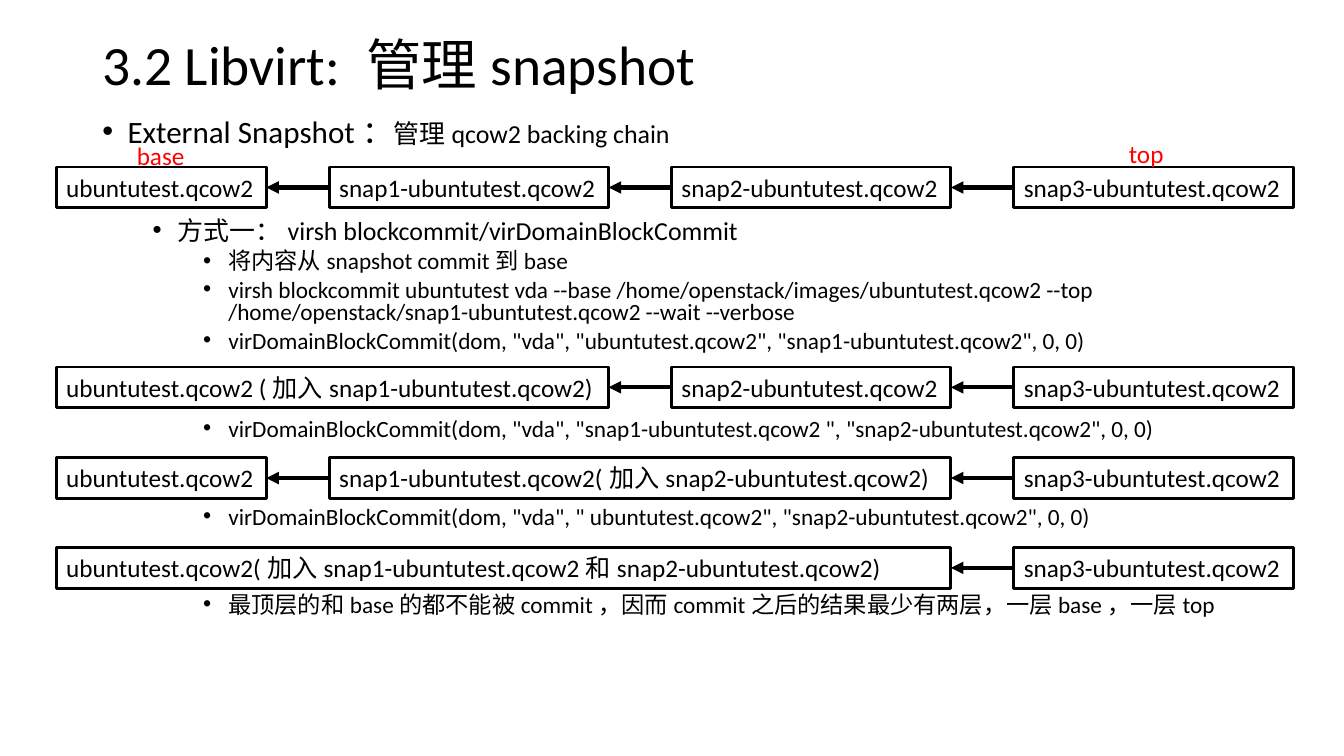
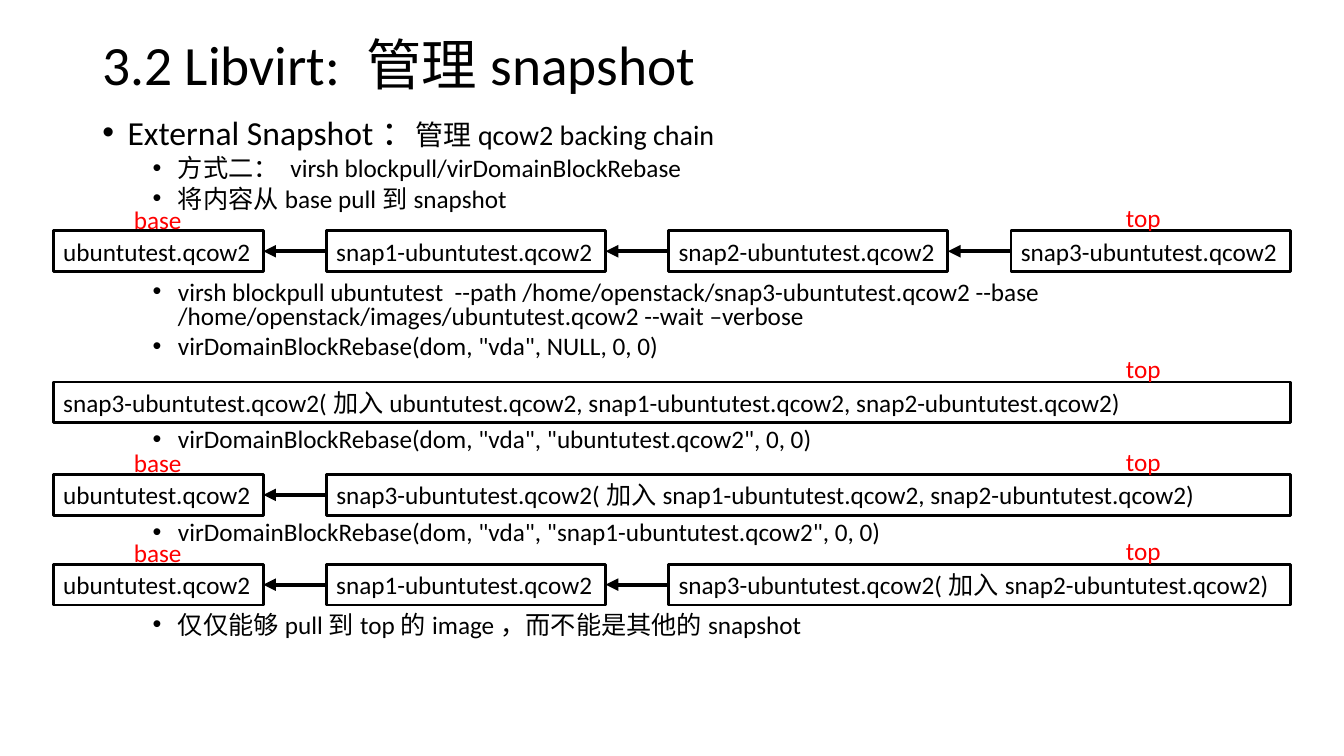
from pptx import Presentation
from pptx.dml.color import RGBColor
from pptx.enum.shapes import MSO_CONNECTOR, MSO_SHAPE
from pptx.enum.text import MSO_ANCHOR, PP_ALIGN
from pptx.oxml.ns import qn
from pptx.util import Emu, Inches, Pt
from lxml.etree import SubElement

# Slide grid: 160 columns by 90 rows of equal squares
UNIT = Inches(13.33) / 160


def grid(n):
    return Emu(round(n * UNIT))


def color(hex_value):
    return RGBColor.from_string(hex_value)


class Deck:
    FONT, INK, MARK = "Calibri", "000000", "FF0000"
    TITLE_SIZE, LABEL_SIZE = 39.6, 18
    # Chain columns: a narrow base image, then three wider snapshots
    WIDTHS, GAP, BOX_H = (25, 33.25, 33.25, 33.25), 7.5, 4.85
    # Label: offset from chain left, rise above chain, width
    LABELS = {"base": (8.4, 3.8, 8.2), "top": (126.5, 4, 6.6)}

    def __init__(self):
        self.prs = Presentation()
        self.prs.slide_width, self.prs.slide_height = Inches(13.33), Inches(7.5)

    def slide(self, title, chain_left):
        self.s = self.prs.slides.add_slide(self.prs.slide_layouts[6])
        self.chain_left = chain_left
        tf = self.text_box(11, 4.8, 138, 6.4)
        tf.vertical_anchor = MSO_ANCHOR.MIDDLE
        p = tf.paragraphs[0]
        p.line_spacing = 0.9
        self.run(p, title, self.TITLE_SIZE)

    def run(self, p, text, size, ink=INK):
        r = p.add_run()
        r.text = text
        r.font.name, r.font.size = self.FONT, Pt(size)
        r.font.color.rgb = color(ink)

    def text_box(self, x, y, w, h, wrap=True):
        tf = self.s.shapes.add_textbox(*map(grid, (x, y, w, h))).text_frame
        tf.word_wrap = wrap
        return tf

    def body(self, items):
        """Each item: level, space before in points, (text, size) runs."""
        tf = self.text_box(11, 13.7, 138, 67.3)
        for i, (level, before, runs) in enumerate(items):
            p = tf.add_paragraph() if i else tf.paragraphs[0]
            p.level = level
            pPr = p._p.get_or_add_pPr()
            pPr.set("marL", str(Inches(0.25 + 0.5 * level)))
            pPr.set("indent", str(Inches(-0.25)))
            SubElement(pPr, qn("a:buFont"), typeface="Arial")
            SubElement(pPr, qn("a:buChar"), char="•")
            p.line_spacing, p.space_before = 0.8, Pt(before)
            for text, size in runs:
                self.run(p, text, size)

    def box(self, x, y, w, text, wrap):
        sp = self.s.shapes.add_shape(MSO_SHAPE.RECTANGLE,
                                     *map(grid, (x, y, w, self.BOX_H)))
        sp.shadow.inherit = False
        sp.fill.background()
        sp.line.color.rgb, sp.line.width = color(self.INK), Pt(2)
        tf = sp.text_frame
        tf.word_wrap, tf.vertical_anchor = wrap, MSO_ANCHOR.TOP
        p = tf.paragraphs[0]
        p.alignment = PP_ALIGN.LEFT
        self.run(p, text, self.LABEL_SIZE)
        return sp

    def arrow(self, start, end):
        line = self.s.shapes.add_connector(MSO_CONNECTOR.STRAIGHT, 0, 0, 0, 0)
        line.begin_connect(start, 1)
        line.end_connect(end, 3)
        line.line.color.rgb, line.line.width = color(self.INK), Pt(3)
        SubElement(line.line._get_or_add_ln(), qn("a:tailEnd"), type="triangle")
        SubElement(line._element.spPr, qn("a:effectLst"))

    def chain(self, y, cells, labels=()):
        """Each cell: text and number of chain columns it spans."""
        x, col, backing = self.chain_left, 0, None
        for text, span in cells:
            w = sum(self.WIDTHS[col:col + span]) + self.GAP * (span - 1)
            sp = self.box(x, y, w, text, span > 1)
            if backing:
                self.arrow(sp, backing)
            x, col, backing = x + w + self.GAP, col + span, sp
        for label in labels:
            dx, rise, w = self.LABELS[label]
            tf = self.text_box(self.chain_left + dx, y - rise, w, self.BOX_H, False)
            self.run(tf.paragraphs[0], label, self.LABEL_SIZE, self.MARK)


def main():
    deck = Deck()
    title = "3.2 Libvirt: 管理snapshot"
    heading, subject = "External Snapshot：", "管理qcow2 backing chain"
    base, snap1, snap2, snap3 = [(name + "ubuntutest.qcow2", 1)
                                 for name in ("", "snap1-", "snap2-", "snap3-")]
    both = ("base", "top")
    near = 4.5  # space between neighbouring bullets

    # Slide 1: block commit
    size, far = 16.6, 47  # far leaves room for a chain
    deck.slide(title, 6.7)
    deck.body([
        (0, 0, [(heading, 22.2), (subject, 18.5)]),
        (1, 50.5, [("方式一：virsh blockcommit/virDomainBlockCommit", 18.5)]),
    ] + [(2, before, [(text, size)]) for before, text in (
        (near, "将内容从snapshot commit到base"),
        (near, "virsh blockcommit ubuntutest vda --base /home/openstack/images/ubuntutest.qcow2 "
               "--top /home/openstack/snap1-ubuntutest.qcow2 --wait --verbose"),
        (near, 'virDomainBlockCommit(dom, "vda", "ubuntutest.qcow2", "snap1-ubuntutest.qcow2", 0, 0)'),
        (far, 'virDomainBlockCommit(dom, "vda", "snap1-ubuntutest.qcow2 ", "snap2-ubuntutest.qcow2", 0, 0)'),
        (far, 'virDomainBlockCommit(dom, "vda", " ubuntutest.qcow2", "snap2-ubuntutest.qcow2", 0, 0)'),
        (far, "最顶层的和base的都不能被commit，因而commit之后的结果最少有两层，一层base，一层top"),
    )])
    deck.chain(19.9, [base, snap1, snap2, snap3], both)
    deck.chain(43.7, [("ubuntutest.qcow2 (加入snap1-ubuntutest.qcow2)", 2), snap2, snap3])
    deck.chain(54.5, [base, ("snap1-ubuntutest.qcow2(加入snap2-ubuntutest.qcow2)", 2), snap3])
    deck.chain(65.2, [("ubuntutest.qcow2(加入snap1-ubuntutest.qcow2和snap2-ubuntutest.qcow2)", 3), snap3])

    # Slide 2: block pull
    size, far = 18, 49
    deck.slide(title, 6.35)
    deck.body([
        (0, 0, [(heading, 24), (subject, 20)]),
    ] + [(1, before, [(text, size)]) for before, text in (
        (near, "方式二： virsh blockpull/virDomainBlockRebase"),
        (near, "将内容从base pull到snapshot"),
        (far, "virsh blockpull ubuntutest  --path /home/openstack/snap3-ubuntutest.qcow2 "
              "--base /home/openstack/images/ubuntutest.qcow2 --wait –verbose"),
        (near, 'virDomainBlockRebase(dom, "vda", NULL, 0, 0)'),
        (far, 'virDomainBlockRebase(dom, "vda", "ubuntutest.qcow2", 0, 0)'),
        (far, 'virDomainBlockRebase(dom, "vda", "snap1-ubuntutest.qcow2", 0, 0)'),
        (far, "仅仅能够pull到top的image，而不能是其他的snapshot"),
    )])
    deck.chain(27.5, [base, snap1, snap2, snap3], both)
    deck.chain(45.5, [("snap3-ubuntutest.qcow2(加入ubuntutest.qcow2, snap1-ubuntutest.qcow2, "
                       "snap2-ubuntutest.qcow2)", 4)], ["top"])
    deck.chain(56.5, [base, ("snap3-ubuntutest.qcow2(加入snap1-ubuntutest.qcow2, "
                             "snap2-ubuntutest.qcow2)", 3)], both)
    deck.chain(67.2, [base, snap1, ("snap3-ubuntutest.qcow2(加入snap2-ubuntutest.qcow2)", 2)], both)

    deck.prs.save("out.pptx")


if __name__ == "__main__":
    main()
